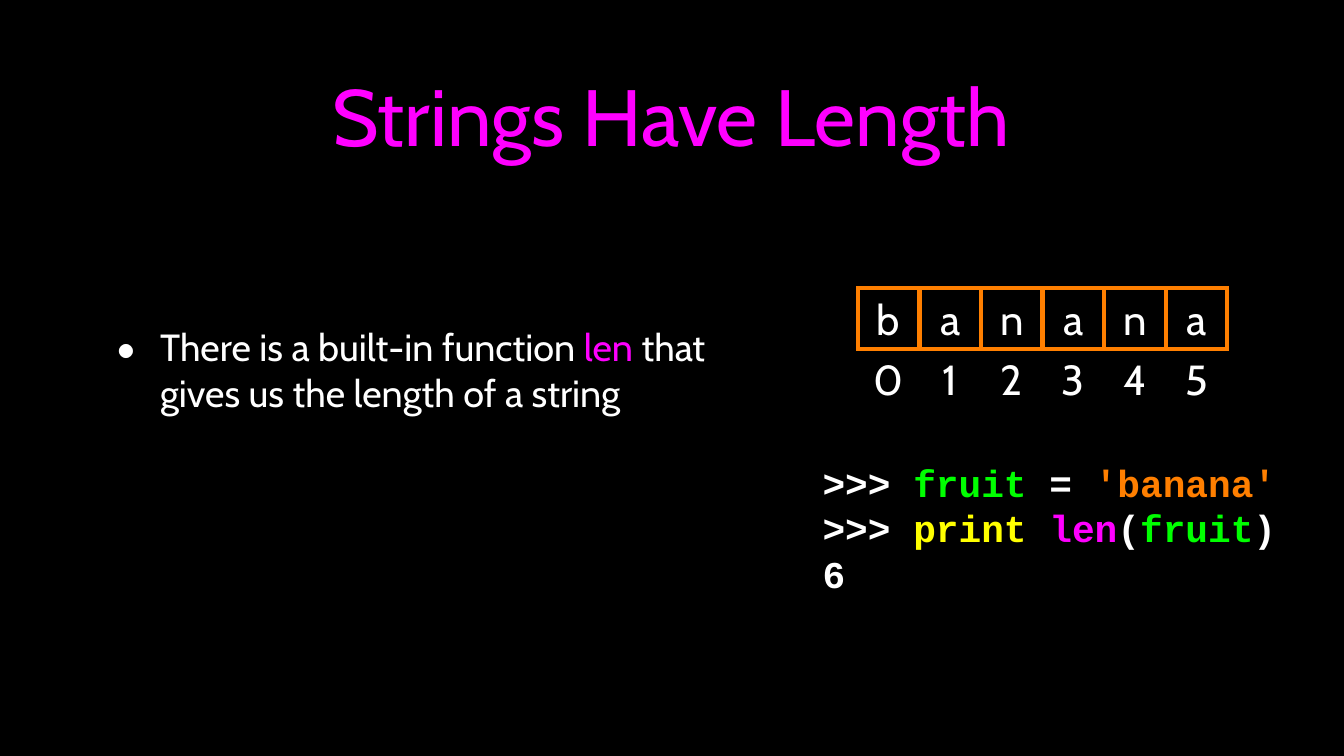
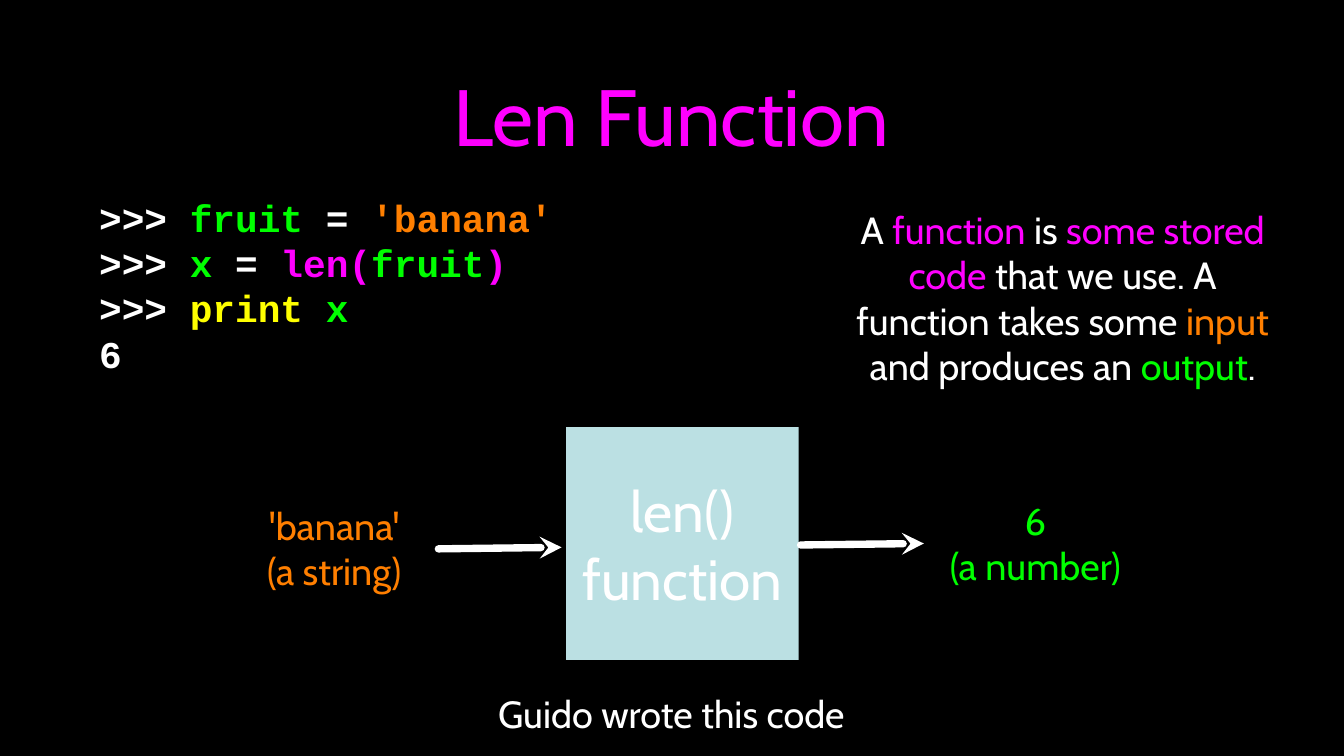
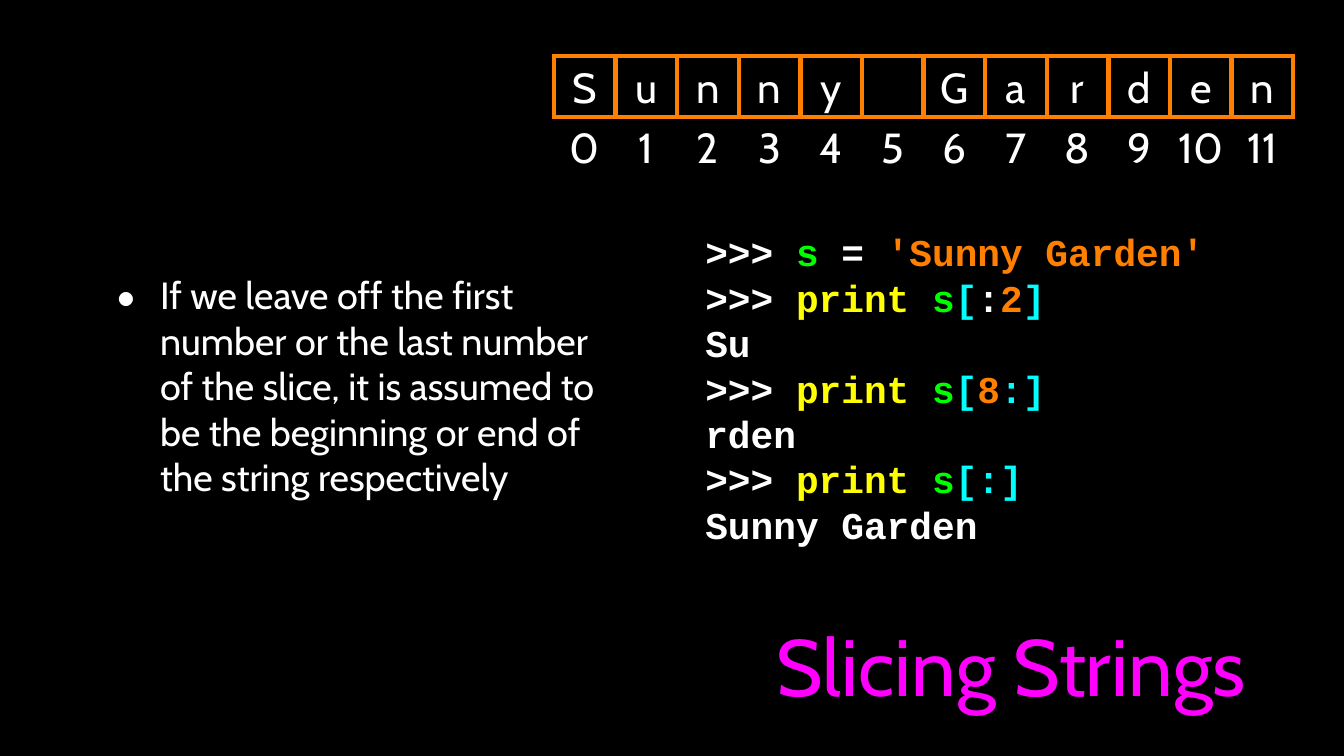
"""Build three slides about string length, the len function and slicing."""
import dataclasses

import pptx
import pptx.dml.color
import pptx.enum.shapes
import pptx.enum.text
import pptx.oxml
import pptx.oxml.ns
import pptx.util

Cm, Pt = pptx.util.Cm, pptx.util.Pt
ALIGN = pptx.enum.text.PP_ALIGN
SHAPES = pptx.enum.shapes.MSO_SHAPE


@dataclasses.dataclass(frozen=True)
class Theme:
    """Colours, fonts and type sizes shared by all slides."""
    black: str = "000000"
    white: str = "FFFFFF"
    magenta: str = "FF00FF"
    green: str = "00FF00"
    orange: str = "FF7F00"
    yellow: str = "FFFF00"
    cyan: str = "00FFFF"
    pale: str = "BBE0E3"
    sans: str = "Cabin"
    mono: str = "Courier New"
    title_size: int = 76
    machine_size: int = 54
    cell_size: int = 40
    body_size: int = 36


THEME = Theme()
PROMPT = ">>> "
PRINT = ("print ", "yellow")
PHRASE = "Sunny Garden"
TITLE_AREA = (3.2, 0.66, 38.71, 6.38)
CELL_SIDE, CELL_PITCH, INDEX_DROP = 2.06, 2.07, 2.03

SLIDES = [
    {
        "title": "Strings Have Length",
        "bullet": ((3.2, 7.24, 21.29, 10.34), [
            ["There is a built-in function ", ("len", "magenta"),
             " that gives us the length of a string"]]),
        "code": ((27.64, 15.42, 17.53, 4.62), [
            [PROMPT, ("fruit", "green"), " = ", ("'banana'", "orange")],
            [PROMPT, PRINT, ("len", "magenta"), "(", ("fruit", "green"), ")"],
            ["6"]]),
        "letters": (28.83, 9.67, "banana"),
    },
    {
        "title": "Len Function",
        "code": ((3.33, 6.5, 15.67, 6.15), [
            [PROMPT, ("fruit ", "green"), "=", (" 'banana'", "orange")],
            [PROMPT, ("x ", "green"), "= ", ("len(", "magenta"),
             ("fruit", "green"), (")", "magenta")],
            [PROMPT, PRINT, ("x", "green")],
            ["6"]]),
        "machine": ((19.02, 14.35, 7.82, 7.82), [["len()"], ["function"]]),
        "arrows": [((18.87, 18.39), (14.73, 18.44)),
                   ((31.04, 18.26), (26.9, 18.31))],
        "captions": [
            ((8.92, 16.87, 4.62, 3.07),
             [[("'banana' ", "orange")], [("(a string)", "orange")]]),
            ((31.78, 16.66, 6.02, 3.18),
             [[("6", "green")], [("(a number)", "green")]]),
            ((28.58, 6.96, 14.25, 6.07), [
                ["A ", ("function", "magenta"), " is ",
                 ("some stored code", "magenta"),
                 " that we use. A function takes some ", ("input", "orange"),
                 " and produces an ", ("output", "green"), "."]]),
            ((16.54, 23.11, 12.04, 1.73), [["Guido wrote this code"]]),
        ],
    },
    {
        "title": "Slicing Strings",
        "title_area": (24.69, 19.66, 18.57, 5.33),
        "bullet": ((3.2, 7.24, 17.88, 11.43), [
            ["If we leave off the first number or the last number of the slice, "
             "it is assumed to be the beginning or end of the string respectively"]]),
        "code": ((23.7, 7.65, 19.08, 10.77), [
            [PROMPT, ("s", "green"), " = ", (f"'{PHRASE}'", "orange")],
            [PROMPT, PRINT, ("s", "green"), ("[", "cyan"), ":",
             ("2", "orange"), ("]", "cyan")],
            [PHRASE[:2]],
            [PROMPT, PRINT, ("s", "green"), ("[", "cyan"), ("8", "orange"),
             (":]", "cyan")],
            [PHRASE[8:]],
            [PROMPT, PRINT, ("s", "green"), ("[:]", "cyan")],
            [PHRASE]]),
        "letters": (18.62, 1.87, PHRASE),
    },
]


def colour(name):
    """Return the theme colour with this name."""
    return pptx.dml.color.RGBColor.from_string(getattr(THEME, name))


def add_xml(parent, tag, **attributes):
    """Append a drawing element to its parent."""
    element = pptx.oxml.parse_xml(f"<a:{tag} {pptx.oxml.ns.nsdecls('a')}/>")
    for key, value in attributes.items():
        element.set(key, value)
    parent.append(element)
    return element


def write(box, lines, font=THEME.sans, size=THEME.body_size, bold=False,
          base="white", align=ALIGN.CENTER, margin=0, bullet=False):
    """Fill a box with lines made of plain or (text, colour) spans."""
    frame = box.text_frame
    frame.word_wrap = True
    frame.auto_size = pptx.enum.text.MSO_AUTO_SIZE.NONE
    frame.vertical_anchor = pptx.enum.text.MSO_ANCHOR.MIDDLE
    frame.margin_left = frame.margin_right = Cm(margin)
    frame.margin_top = frame.margin_bottom = Cm(margin)
    for number, line in enumerate(lines):
        para = frame.add_paragraph() if number else frame.paragraphs[0]
        para.alignment = align
        if bullet:
            add_bullet(para)
        for part in line:
            text, tint = (part, base) if isinstance(part, str) else part
            span = para.add_run()
            span.text = text
            span.font.name, span.font.size = font, Pt(size)
            span.font.bold = bold
            span.font.color.rgb = colour(tint)


def add_bullet(para):
    """Give a paragraph a hanging indent and a large white bullet."""
    settings = para._p.get_or_add_pPr()
    settings.set("marL", str(Cm(2.08)))
    settings.set("indent", str(Cm(-1.47)))
    add_xml(add_xml(settings, "buClr"), "srgbClr", val=THEME.white)
    add_xml(settings, "buSzPct", val="171000")
    add_xml(settings, "buFont", typeface=THEME.sans)
    add_xml(settings, "buChar", char="•")


def add_text(page, area, lines, **style):
    """Add a text box to the page."""
    write(page.shapes.add_textbox(*map(Cm, area)), lines, **style)


def add_square(page, area, lines, size, fill=None, line=None):
    """Add a square with centred text."""
    square = page.shapes.add_shape(SHAPES.RECTANGLE, *map(Cm, area))
    square.shadow.inherit = False
    if fill:
        square.fill.solid()
        square.fill.fore_color.rgb = colour(fill)
    else:
        square.fill.background()
    if line:
        square.line.color.rgb = colour(line)
        square.line.width = Pt(4)
        add_xml(square.line._get_or_add_ln(), "miter", lim="800000")
    else:
        square.line.fill.background()
    write(square, lines, size=size)


def add_letters(page, left, top, word):
    """Draw a word as a row of cells with an index below each."""
    for index, letter in enumerate(word):
        place = left + index * CELL_PITCH
        add_text(page, (place, top + INDEX_DROP, CELL_SIDE, CELL_SIDE),
                 [[str(index)]], size=THEME.cell_size)
        add_square(page, (place, top, CELL_SIDE, CELL_SIDE),
                   [[letter]] if letter.strip() else [],
                   THEME.cell_size, line="orange")


def add_arrow(page, tip, origin):
    """Draw a thick white arrow pointing at its tip."""
    arrow = page.shapes.add_connector(
        pptx.enum.shapes.MSO_CONNECTOR.STRAIGHT, *map(Cm, tip + origin))
    arrow.line.color.rgb = colour("white")
    arrow.line.width = Pt(7)
    outline = arrow.line._get_or_add_ln()
    outline.set("cap", "rnd")
    add_xml(outline, "headEnd", type="stealth")
    add_xml(arrow._element.spPr, "effectLst")


def add_title(page, text, area):
    """Place and format the title placeholder."""
    title = page.shapes.title
    title.left, title.top, title.width, title.height = map(Cm, area)
    write(title, [[text]], size=THEME.title_size, base="magenta", margin=0.1)


def build_page(deck, content):
    """Add one slide with all its parts."""
    page = deck.slides.add_slide(deck.slide_layouts[5])
    add_title(page, content["title"], content.get("title_area", TITLE_AREA))
    if "bullet" in content:
        add_text(page, *content["bullet"], align=ALIGN.LEFT, margin=0.1, bullet=True)
    add_text(page, *content["code"], font=THEME.mono, bold=True, align=ALIGN.LEFT)
    if "letters" in content:
        add_letters(page, *content["letters"])
    if "machine" in content:
        add_square(page, *content["machine"], THEME.machine_size, fill="pale")
    for tip, origin in content.get("arrows", []):
        add_arrow(page, tip, origin)
    for area, lines in content.get("captions", []):
        add_text(page, area, lines)


def main():
    """Build and save the deck."""
    deck = pptx.Presentation()
    deck.slide_width, deck.slide_height = Cm(45.16), Cm(25.4)
    backdrop = deck.slide_master.background.fill
    backdrop.solid()
    backdrop.fore_color.rgb = colour("black")
    for content in SLIDES:
        build_page(deck, content)
    deck.save("out.pptx")


if __name__ == "__main__":
    main()
